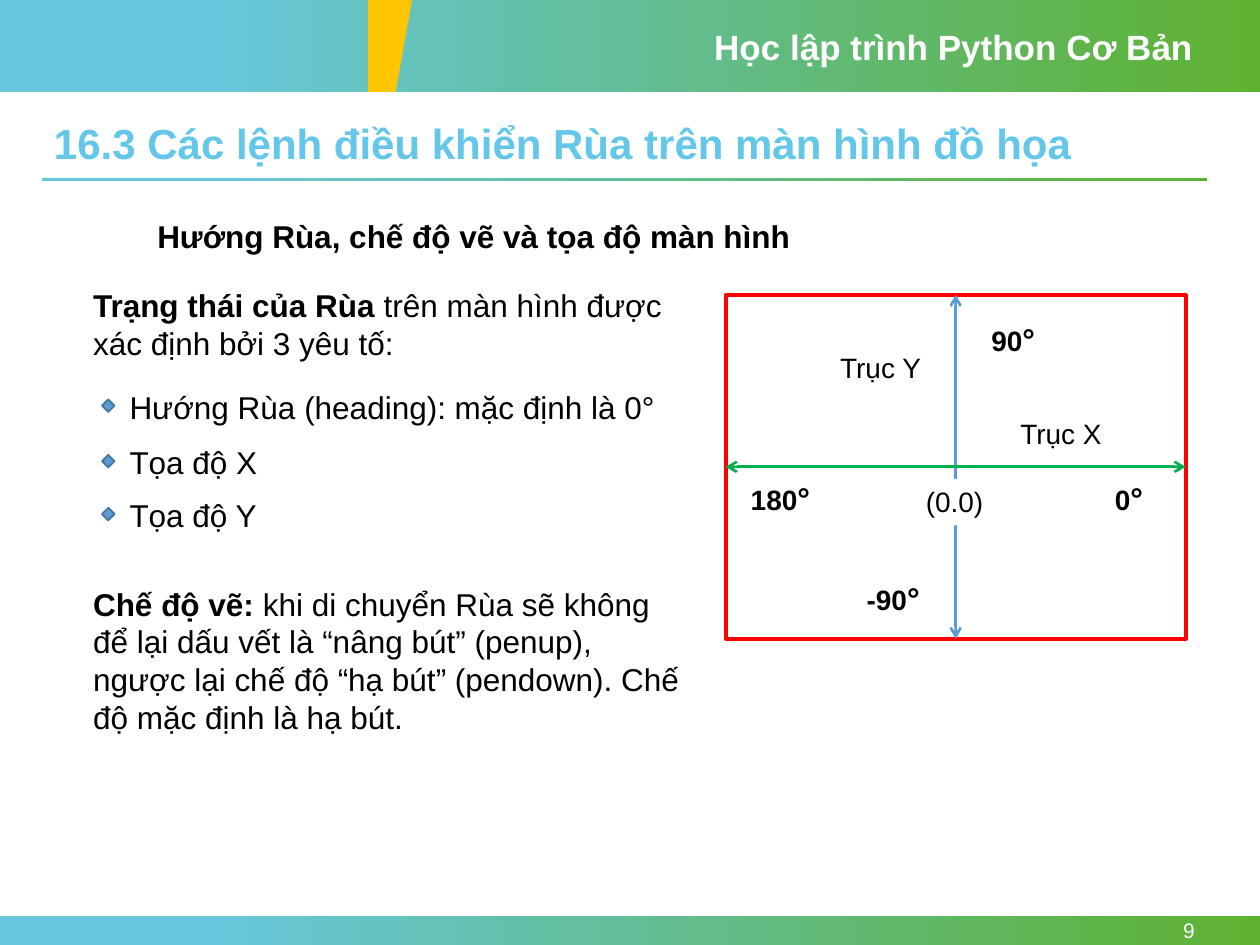
from pptx import Presentation
from pptx.dml.color import RGBColor
from pptx.enum.shapes import MSO_CONNECTOR as CONNECTOR, MSO_SHAPE as SHAPE
from pptx.enum.text import MSO_ANCHOR as ANCHOR, PP_ALIGN as ALIGN
from pptx.oxml.ns import qn
from pptx.util import Inches, Pt
from lxml.etree import SubElement

TOP, LEFT, BOTTOM, RIGHT = range(4)


def rgb(value):
    return RGBColor.from_string(value)


class SlideBuilder:
    """Draws styled elements on the current slide."""

    font = "Arial"
    black, white = "000000", "FFFFFF"
    gradient = ((0.15, "67C7DF"), (1, "5EB130"))

    def __init__(self, slide):
        self.shapes = slide.shapes

    def shape(self, kind, box, fill=None, line=None, width=1):
        figure = self.shapes.add_shape(kind, *map(Inches, box))
        self.paint(figure, fill, line, width)
        return figure

    def paint(self, figure, fill, line=None, width=1):
        figure.shadow.inherit = False
        if fill:
            figure.fill.solid()
            figure.fill.fore_color.rgb = rgb(fill)
        else:
            figure.fill.background()
        if line:
            figure.line.color.rgb = rgb(line)
            figure.line.width = Pt(width)
        else:
            figure.line.fill.background()

    def band(self, *box):
        strip = self.shape(SHAPE.RECTANGLE, box)
        strip.fill.gradient()
        strip.fill.gradient_angle = 0
        for stop, (position, color) in zip(strip.fill.gradient_stops, self.gradient):
            stop.position = position
            stop.color.rgb = rgb(color)

    def polygon(self, points, fill):
        start, *rest = [(Inches(x), Inches(y)) for x, y in points]
        builder = self.shapes.build_freeform(*start, scale=1.0)
        builder.add_line_segments(rest, close=True)
        self.paint(builder.convert_to_shape(), fill)

    def fill_text(self, holder, runs, color=black, align=ALIGN.LEFT, anchor=ANCHOR.TOP):
        frame = holder.text_frame
        frame.word_wrap = True
        frame.vertical_anchor = anchor
        paragraph = frame.paragraphs[0]
        paragraph.alignment = align
        for words, size, bold in runs:
            run = paragraph.add_run()
            run.text = words
            run.font.name = self.font
            run.font.size = Pt(size)
            run.font.bold = bold
            run.font.color.rgb = rgb(color)
        return paragraph

    def text(self, box, *runs, **style):
        return self.fill_text(self.shapes.add_textbox(*map(Inches, box)), runs, **style)

    def label(self, box, *runs):
        self.fill_text(self.shape(SHAPE.RECTANGLE, box, self.white), runs)

    def bullet(self, top, words):
        self.shape(SHAPE.DIAMOND, (0.81, top + 0.14, 0.1, 0.1), "5B9BD5", "43739E")
        self.text((0.93, top, 4.46, 0.4), (words, 18, False))

    def axis(self, frame, begin, end, color):
        arrow = self.shapes.add_connector(CONNECTOR.STRAIGHT, 0, 0, 0, 0)
        arrow.begin_connect(frame, begin)
        arrow.end_connect(frame, end)
        arrow.line.color.rgb = rgb(color)
        arrow.line.width = Pt(1.5)
        properties = arrow._element.spPr
        line = properties.find(qn("a:ln"))
        for tip in ("a:headEnd", "a:tailEnd"):
            SubElement(line, qn(tip), type="arrow")
        SubElement(properties, qn("a:effectLst"))


def main():
    deck = Presentation()
    deck.slide_width, deck.slide_height = Inches(10), Inches(7.5)
    page = SlideBuilder(deck.slides.add_slide(deck.slide_layouts[6]))

    page.band(0, 0, 10, 0.73)
    page.band(0, 7.27, 10, 0.23)
    page.text((5.57, 0.15, 4, 0.44), ("Học lập trình Python Cơ Bản", 20, True), color=page.white)
    page.band(0.33, 1.41, 9.25, 0.03)
    page.polygon([(2.92, 0), (3.27, 0), (3.14, 0.73), (2.92, 0.73)], "FFC500")
    page.text((8.66, 7.27, 0.92, 0.23), ("9", 12, False),
              color=page.white, align=ALIGN.RIGHT, anchor=ANCHOR.MIDDLE)

    title = page.text((0.33, 0.93, 9.25, 0.46),
                      ("16.3 Các lệnh điều khiển Rùa trên màn hình đồ họa", 24, True),
                      color="64C7E9")
    title.line_spacing = 0.9
    page.text((1.15, 1.67, 5.8, 0.4), ("Hướng Rùa, chế độ vẽ và tọa độ màn hình", 18, True))
    page.text((0.64, 2.22, 4.92, 0.71), ("Trạng thái của Rùa ", 18, True),
              ("trên màn hình được xác định bởi 3 yêu tố:", 18, False))

    screen = page.shape(SHAPE.RECTANGLE, (5.76, 2.34, 3.65, 2.73), line="FF0000", width=2.25)
    page.axis(screen, BOTTOM, TOP, "5B9BD5")
    page.axis(screen, LEFT, RIGHT, "00B050")
    page.text((6.57, 2.73, 0.98, 0.37), ("Trục Y", 16, False))
    page.text((8, 3.26, 1.16, 0.37), ("Trục X", 16, False))
    page.label((7.25, 3.8, 0.7, 0.37), ("(0.0)", 16, False))
    headings = (("0", 8.75, 3.75, 0.45), ("180", 5.86, 3.75, 0.81),
                ("-90", 6.78, 4.55, 0.74), ("90", 7.77, 2.49, 0.74))
    for angle, left, top, width in headings:
        page.label((left, top, width, 0.4), (angle, 16, True), ("°", 18, True))

    factors = ((3.03, "Hướng Rùa (heading): mặc định là 0°"),
               (3.47, "Tọa độ X"), (3.89, "Tọa độ Y"))
    for top, words in factors:
        page.bullet(top, words)
    page.text((0.64, 4.59, 4.92, 1.31), ("Chế độ vẽ: ", 18, True),
              ("khi di chuyển Rùa sẽ không để lại dấu vết là “nâng bút” (penup), "
               "ngược lại chế độ “hạ bút” (pendown). Chế độ mặc định là hạ bút.", 18, False))

    deck.save("out.pptx")


if __name__ == "__main__":
    main()
